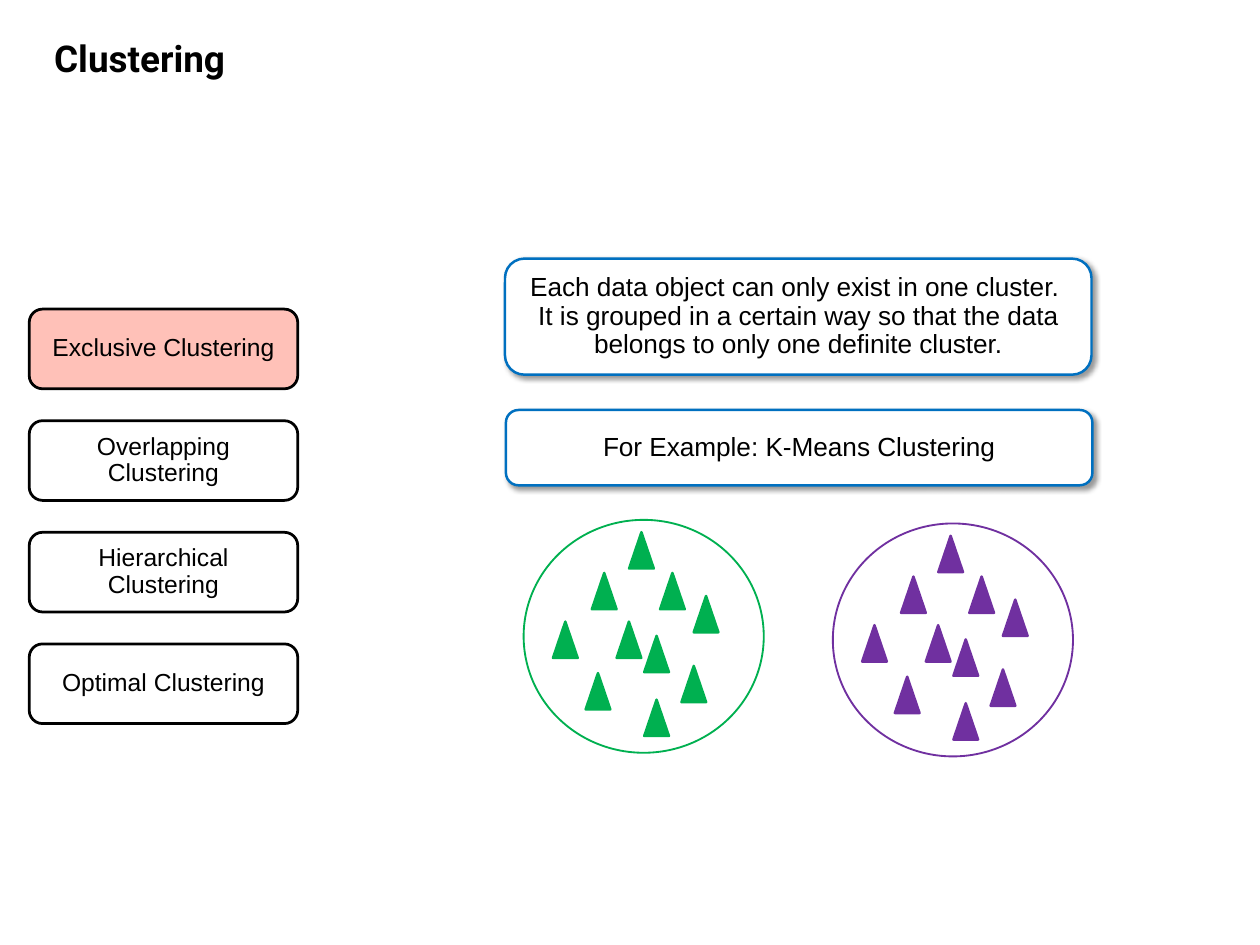
import pptx
import pptx.util
import pptx.dml.color
import pptx.enum.shapes
import pptx.enum.text
import pptx.oxml
import pptx.oxml.ns

Inches, Pt = pptx.util.Inches, pptx.util.Pt
MSO = pptx.enum.shapes.MSO_SHAPE
ALIGN = pptx.enum.text.PP_ALIGN
ANCHOR = pptx.enum.text.MSO_ANCHOR

# Content: frames are left, top, width, height in percent of the slide
TITLE = "Clustering"
TITLE_FRAME = (3.59, 3.84, 51.62, 5.25)

TYPES = ["Exclusive Clustering", "Overlapping Clustering",
         "Hierarchical Clustering", "Optimal Clustering"]
ACTIVE_TYPE = 0
TYPE_FRAME = (2.32, 32.71, 21.31, 8.43)
TYPE_STEP = 11.81

CARDS = [
    ((40.08, 27.37, 46.55, 12.28),
     ["Each data object can only exist in one cluster. ",
      "It is grouped in a certain way so that the data belongs to only one definite cluster."]),
    ((40.15, 43.39, 46.55, 7.97), ["For Example: K-Means Clustering"]),
]

CLUSTERS = [((41.56, 55.01, 19.06, 24.65), "00B050"),
            ((66.10, 55.39, 19.06, 24.65), "7030A0")]
# Triangles: left, top and size in percent of their circle
POINTS = [(28.4, 22.8), (56.8, 22.8), (50.2, 49.8), (38.7, 43.7), (25.8, 65.8),
          (50.2, 77.2), (70.8, 32.7), (65.7, 62.7), (12.2, 43.7), (43.9, 5.3)]
POINT_SIZE = (10.3, 15.6)

BLACK, WHITE, PINK, BLUE = "000000", "FFFFFF", "FFC1B8", "0070C0"

prs = pptx.Presentation()
prs.slide_width, prs.slide_height = Inches(14.22), Inches(10.67)
s = prs.slides.add_slide(prs.slide_layouts[5])
SLIDE = (0, 0, prs.slide_width, prs.slide_height)


def rgb(value):
    return pptx.dml.color.RGBColor.from_string(value)


def place(frame, area=SLIDE):
    """Turn percentages of an area into lengths."""
    x, y, w, h = frame
    left, top, width, height = area
    return (int(left + width * x / 100), int(top + height * y / 100),
            int(width * w / 100), int(height * h / 100))


def add_shape(shapes, kind, box, fill, line, weight):
    sp = shapes.add_shape(kind, *box)
    sp.shadow.inherit = False
    sp.fill.solid()
    sp.fill.fore_color.rgb = rgb(fill)
    sp.line.color.rgb = rgb(line)
    sp.line.width = Pt(weight)
    return sp


def write(sp, lines, size, font="Arial", bold=False, align=ALIGN.CENTER, anchor=ANCHOR.MIDDLE):
    tf = sp.text_frame
    tf.word_wrap = True
    tf.vertical_anchor = anchor
    for i, line in enumerate(lines):
        p = tf.add_paragraph() if i else tf.paragraphs[0]
        p.alignment = align
        p.line_spacing = 0.9
        p.space_before = Pt(0)
        r = p.add_run()
        r.text = line
        r.font.name, r.font.size, r.font.bold = font, Pt(size), bold
        r.font.color.rgb = rgb(BLACK)


def add_shadow(sp):
    effects = sp._element.spPr.find(pptx.oxml.ns.qn("a:effectLst"))
    effects.append(pptx.oxml.parse_xml(
        f'<a:outerShdw {pptx.oxml.ns.nsdecls("a")} blurRad="{Pt(4)}" dist="{Pt(3)}"'
        f' dir="{45 * 60000}" algn="tl" rotWithShape="0">'
        f'<a:srgbClr val="{BLACK}"><a:alpha val="40000"/></a:srgbClr></a:outerShdw>'))


# Title
title = s.shapes.title
title.left, title.top, title.width, title.height = place(TITLE_FRAME)
write(title, [TITLE], 30, "Roboto", True, ALIGN.LEFT, ANCHOR.TOP)

# Clustering types
x, y, w, h = TYPE_FRAME
for i, name in enumerate(TYPES):
    fill = PINK if i == ACTIVE_TYPE else WHITE
    box = place((x, y + i * TYPE_STEP, w, h))
    write(add_shape(s.shapes, MSO.ROUNDED_RECTANGLE, box, fill, BLACK, 2.25), [name], 20)

# Explanation and example
for frame, lines in CARDS:
    card = add_shape(s.shapes, MSO.ROUNDED_RECTANGLE, place(frame), WHITE, BLUE, 2)
    add_shadow(card)
    write(card, lines, 21.3)

# Clusters, each a group of a circle and its data points
for frame, color in CLUSTERS:
    group = s.shapes.add_group_shape()
    circle = place(frame)
    add_shape(group.shapes, MSO.OVAL, circle, WHITE, color, 1.5)
    for point in POINTS:
        add_shape(group.shapes, MSO.ISOSCELES_TRIANGLE,
                  place(point + POINT_SIZE, circle), color, color, 2)

prs.save("out.pptx")
